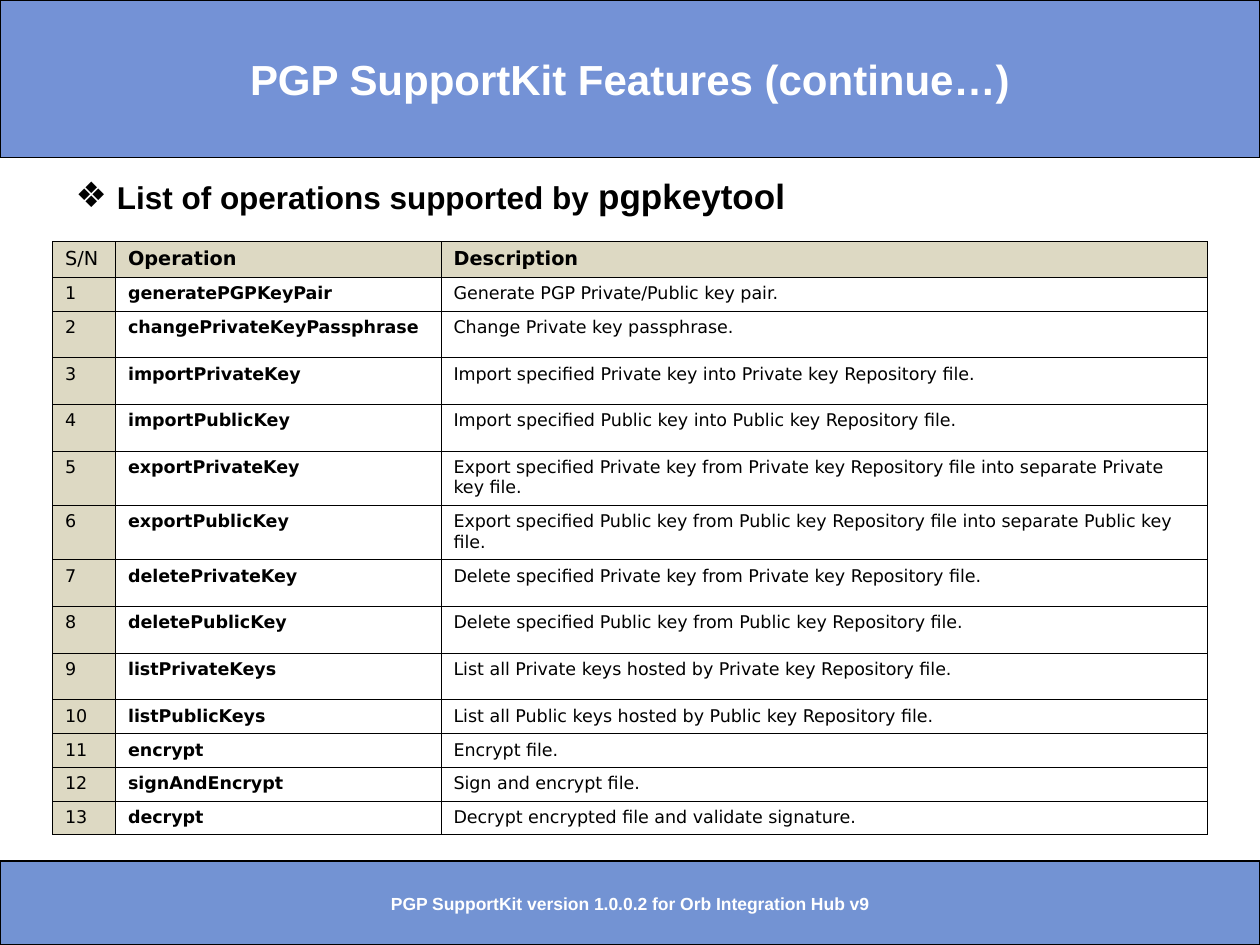
from lxml.etree import SubElement as Sub
from pptx import Presentation
from pptx.dml.color import RGBColor as Rgb
from pptx.enum.shapes import MSO_SHAPE as Form
from pptx.enum.text import MSO_ANCHOR as Anchor, MSO_AUTO_SIZE as Auto, PP_ALIGN as Align
from pptx.oxml.ns import qn
from pptx.util import Pt

HUES = {"head": "7492D6", "foot": "7393D3", "sand": "DDD9C3",
        "ink": "000000", "white": "FFFFFF"}
SANS, WIDE = "Arial", "DejaVu Sans"
COLS = (36, 186, 438)
HEAD, LOW, MID, TALL = 20.4, 19.3, 26.7, 31.1
ROWS = (
    (HEAD, "Operation", "Description"),
    (LOW, "generatePGPKeyPair", "Generate PGP Private/Public key pair."),
    (MID, "changePrivateKeyPassphrase", "Change Private key passphrase."),
    (MID, "importPrivateKey",
     "Import specified Private key into Private key Repository file."),
    (MID, "importPublicKey",
     "Import specified Public key into Public key Repository file."),
    (TALL, "exportPrivateKey",
     "Export specified Private key from Private key Repository file into separate Private key file."),
    (TALL, "exportPublicKey",
     "Export specified Public key from Public key Repository file into separate Public key file."),
    (MID, "deletePrivateKey",
     "Delete specified Private key from Private key Repository file."),
    (MID, "deletePublicKey",
     "Delete specified Public key from Public key Repository file."),
    (MID, "listPrivateKeys",
     "List all Private keys hosted by Private key Repository file."),
    (LOW, "listPublicKeys",
     "List all Public keys hosted by Public key Repository file."),
    (LOW, "encrypt", "Encrypt file."),
    (LOW, "signAndEncrypt", "Sign and encrypt file."),
    (LOW, "decrypt", "Decrypt encrypted file and validate signature."),
)


def tint(hue):
    """Return the named colour."""
    return Rgb.from_string(HUES[hue])


def write(para, text, size, face=SANS, hue="ink", bold=True):
    """Add one formatted run to a paragraph."""
    run = para.add_run()
    run.text = text
    font = run.font
    font.size, font.name, font.bold = Pt(size), face, bold
    font.color.rgb = tint(hue)


def place(shape, box):
    """Move a shape to a box of left, top, width and height."""
    shape.left, shape.top, shape.width, shape.height = map(Pt, box)


def band(shape, box, hue, text, size):
    """Turn a shape into a coloured band with a centred caption."""
    place(shape, box)
    shape.fill.solid()
    shape.fill.fore_color.rgb = tint(hue)
    shape.line.color.rgb = tint("ink")
    shape.line.width = Pt(0.75)
    frame = shape.text_frame
    frame.auto_size, frame.word_wrap = Auto.NONE, False
    frame.vertical_anchor = Anchor.MIDDLE
    para = frame.paragraphs[0]
    para.alignment = Align.CENTER
    write(para, text, size, hue="white")


def topic(shape, box):
    """Fill the body with the bulleted heading of the table."""
    place(shape, box)
    frame = shape.text_frame
    frame.auto_size, frame.word_wrap = Auto.NONE, True
    frame.vertical_anchor = Anchor.TOP
    para = frame.paragraphs[0]
    para.space_before = Pt(0)
    write(para, "List of operations supported by ", 18)
    write(para, "pgpkeytool", 20)
    props = para._p.get_or_add_pPr()
    props.set("marL", str(Pt(23.6)))
    props.set("indent", str(-Pt(23.6)))
    Sub(Sub(props, qn("a:buClr")), qn("a:srgbClr"), val=HUES["ink"])
    Sub(props, qn("a:buSzPct"), val="111000")
    Sub(props, qn("a:buChar"), char="❖")


def frame_cell(cell):
    """Draw thin lines on all four sides of a cell."""
    props = cell._tc.get_or_add_tcPr()
    for side in ("lnL", "lnR", "lnT", "lnB"):
        line = Sub(props, qn(f"a:{side}"), w=str(Pt(0.45)))
        Sub(Sub(line, qn("a:solidFill")), qn("a:srgbClr"), val=HUES["ink"])


def grid(slide, box):
    """Add the table of operations."""
    table = slide.shapes.add_table(len(ROWS), len(COLS), *map(Pt, box)).table
    table.first_row = table.horz_banding = False
    for col, width in zip(table.columns, COLS):
        col.width = Pt(width)
    for row, (high, *words) in enumerate(ROWS):
        table.rows[row].height = Pt(high)
        for col, text in enumerate((str(row or "S/N"), *words)):
            cell = table.cell(row, col)
            frame_cell(cell)
            if row == 0 or col == 0:
                cell.fill.solid()
                cell.fill.fore_color.rgb = tint("sand")
            else:
                cell.fill.background()
            bold = col == 1 or (row == 0 and col == 2)
            write(cell.text_frame.paragraphs[0], text,
                  10 if row else 11, WIDE, bold=bold)


def main():
    """Build and save the slide."""
    deck = Presentation()
    deck.slide_width, deck.slide_height = Pt(720), Pt(540)
    slide = deck.slides.add_slide(deck.slide_layouts[1])
    band(slide.shapes.title, (0, 0, 720, 90), "head",
         "PGP SupportKit Features (continue…)", 24)
    low = (0, 492, 720, 48)
    foot = slide.shapes.add_shape(Form.RECTANGLE, *map(Pt, low))
    foot.shadow.inherit = False
    band(foot, low, "foot",
         "PGP SupportKit version 1.0.0.2 for Orb Integration Hub v9", 10)
    topic(slide.placeholders[1], (36, 96, 654, 55))
    grid(slide, (30, 138, sum(COLS), sum(row[0] for row in ROWS)))
    deck.save("out.pptx")


if __name__ == "__main__":
    main()
